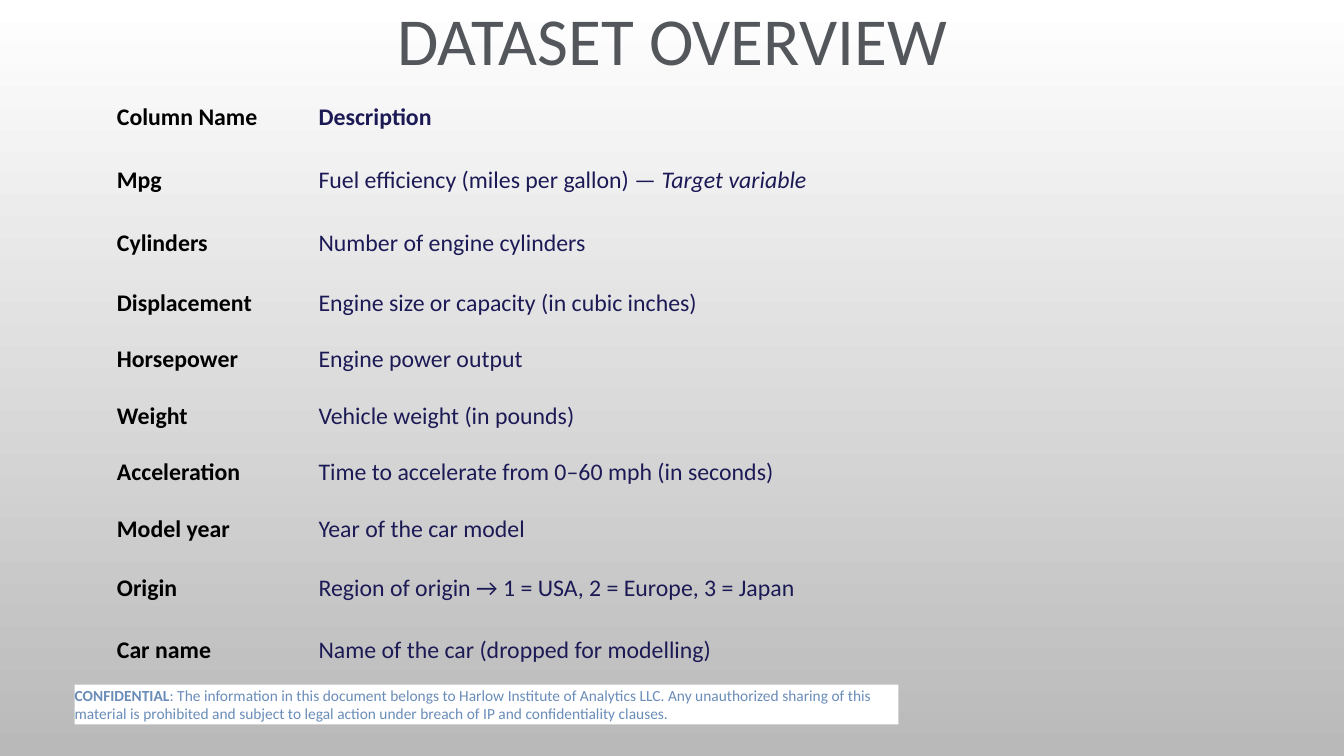
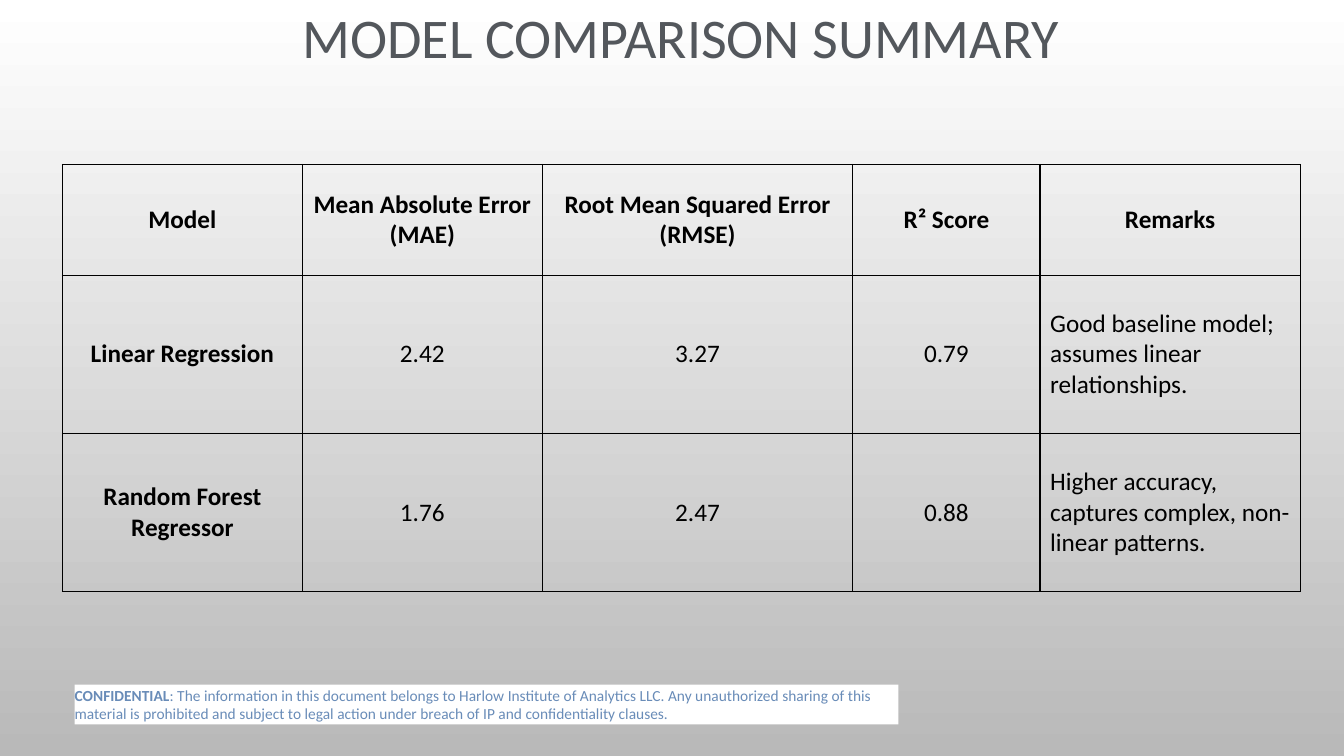
import lxml.etree as etree
import pptx
import pptx.dml.color
import pptx.enum.shapes
import pptx.enum.text
import pptx.oxml.ns
import pptx.util

Pt = pptx.util.Pt
qn = pptx.oxml.ns.qn
Align = pptx.enum.text.PP_ALIGN
Anchor = pptx.enum.text.MSO_ANCHOR
Rect = pptx.enum.shapes.MSO_SHAPE.RECTANGLE


class Theme:
    """Colours and type sizes of the deck."""
    face = "Calibri"
    white, grey, black = "FFFFFF", "B9B9B9", "000000"
    head, navy, note = "53575C", "1C1A55", "698CB8"
    notesize, listsize, gridsize = 11, 17, 18
    plain = "{2D5ABB26-0587-4C30-8999-92F81FD0307C}"  # no style, no grid


def rgb(code):
    return pptx.dml.color.RGBColor.from_string(code)


def apply(target, values):
    for name, value in values.items():
        setattr(target, name, value)


class Deck:
    def __init__(self):
        self.prs = pptx.Presentation()
        apply(self.prs, {"slide_width": Pt(960), "slide_height": Pt(540)})
        # Shared backdrop: white at the top, grey at the foot
        fill = self.prs.slide_master.background.fill
        fill.gradient()
        fill.gradient_angle = 270
        for stop, code in zip(fill.gradient_stops, (Theme.white, Theme.grey)):
            stop.color.rgb = rgb(code)

    def start(self, title, size, box):
        """Add a slide with its footer and title."""
        self.slide = self.prs.slides.add_slide(self.prs.slide_layouts[6])
        self.footer()
        frame = self.slide.shapes.add_textbox(*map(Pt, box)).text_frame
        frame.word_wrap = False
        self.text(frame, [(title, {})], size, Theme.head, Align.CENTER)

    def text(self, frame, runs, size, ink, align=Align.LEFT):
        para = frame.paragraphs[0]
        para.alignment = align
        for words, style in runs:
            run = para.add_run()
            run.text = words
            apply(run.font, {"name": Theme.face, "size": Pt(size), "bold": False, **style})
            run.font.color.rgb = rgb(ink)

    def footer(self):
        shape = self.slide.shapes.add_shape(Rect, Pt(53.3), Pt(489), Pt(588.5), Pt(28.5))
        shape.shadow.inherit = False
        shape.fill.solid()
        shape.fill.fore_color.rgb = rgb(Theme.white)
        shape.line.fill.background()
        sides = ("left", "top", "right", "bottom")
        apply(shape.text_frame, {f"margin_{side}": 0 for side in sides})
        apply(shape.text_frame, {"word_wrap": True, "vertical_anchor": Anchor.MIDDLE})
        runs = [
            ("CONFIDENTIAL", {"bold": True}),
            (": The information in this document belongs to Harlow Institute of Analytics LLC. "
             "Any unauthorized sharing of this material is prohibited and subject to legal "
             "action under breach of IP and confidentiality clauses.", {}),
        ]
        self.text(shape.text_frame, runs, Theme.notesize, Theme.note)

    def table(self, left, top, cols, rows, data, look):
        """Add a clear table; look(row, col) gives size, ink, bold and align."""
        shape = self.slide.shapes.add_table(
            len(rows), len(cols), Pt(left), Pt(top), Pt(sum(cols)), Pt(sum(rows)))
        grid = shape.table
        apply(grid, {"first_row": False, "horz_banding": False})
        for mark in shape.element.iter(qn("a:tableStyleId")):
            mark.text = Theme.plain
        for col, width in zip(grid.columns, cols):
            col.width = Pt(width)
        for row, height in zip(grid.rows, rows):
            row.height = Pt(height)
        for r, line in enumerate(data):
            for c, item in enumerate(line):
                cell = grid.cell(r, c)
                cell.fill.background()
                cell.vertical_anchor = Anchor.MIDDLE
                size, ink, bold, align = look(r, c)
                runs = [(item, {})] if isinstance(item, str) else item
                runs = [(words, {"bold": bold, **style}) for words, style in runs]
                self.text(cell.text_frame, runs, size, ink, align)
        return shape

    def rule(self, shape, width=1):
        """Draw thin lines round every cell."""
        for props in shape.element.iter(qn("a:tcPr")):
            for spot, side in enumerate(("lnL", "lnR", "lnT", "lnB")):
                line = etree.Element(qn(f"a:{side}"), w=str(Pt(width)))
                fill = etree.SubElement(line, qn("a:solidFill"))
                etree.SubElement(fill, qn("a:srgbClr"), val=Theme.black)
                props.insert(spot, line)


def fields(deck):
    deck.start("DATASET OVERVIEW", 48, (270.7, -5, 419, 65.5))
    data = [
        ("Column Name", "Description"),
        ("Mpg", [("Fuel efficiency (miles per gallon) — ", {}),
                 ("Target variable", {"italic": True})]),
        ("Cylinders", "Number of engine cylinders"),
        ("Displacement", "Engine size or capacity (in cubic inches)"),
        ("Horsepower", "Engine power output"),
        ("Weight", "Vehicle weight (in pounds)"),
        ("Acceleration", "Time to accelerate from 0–60 mph (in seconds)"),
        ("Model year", "Year of the car model"),
        ("Origin", "Region of origin → 1 = USA, 2 = Europe, 3 = Japan"),
        ("Car name", "Name of the car (dropped for modelling)"),
    ]

    def look(r, c):
        ink = Theme.navy if c else Theme.black
        return Theme.listsize, ink, r == 0 or c == 0, Align.LEFT

    rows = (46, 44.6, 45.2, 41, 39.6, 40.8, 39.8, 41.8, 41.6, 46.8)
    deck.table(76.3, 60.5, (144, 702), rows, data, look)


def models(deck):
    deck.start("MODEL COMPARISON SUMMARY", 40, (204.5, -1.5, 563.8, 55.5))
    data = [
        ("Model", "Mean Absolute Error (MAE)", "Root Mean Squared Error (RMSE)",
         "R² Score", "Remarks"),
        ("Linear Regression", "2.42", "3.27", "0.79",
         "Good baseline model; assumes linear relationships."),
        ("Random Forest Regressor", "1.76", "2.47", "0.88",
         "Higher accuracy, captures complex, non-linear patterns."),
    ]

    def look(r, c):
        align = Align.LEFT if r and c == 4 else Align.CENTER
        return Theme.gridsize, Theme.black, r == 0 or c == 0, align

    cols = (171.4, 171.4, 221.8, 133.8, 185.8)
    deck.rule(deck.table(44.6, 117.4, cols, (79.2, 113, 113), data, look))


def main():
    deck = Deck()
    fields(deck)
    models(deck)
    deck.prs.save("out.pptx")


if __name__ == "__main__":
    main()
